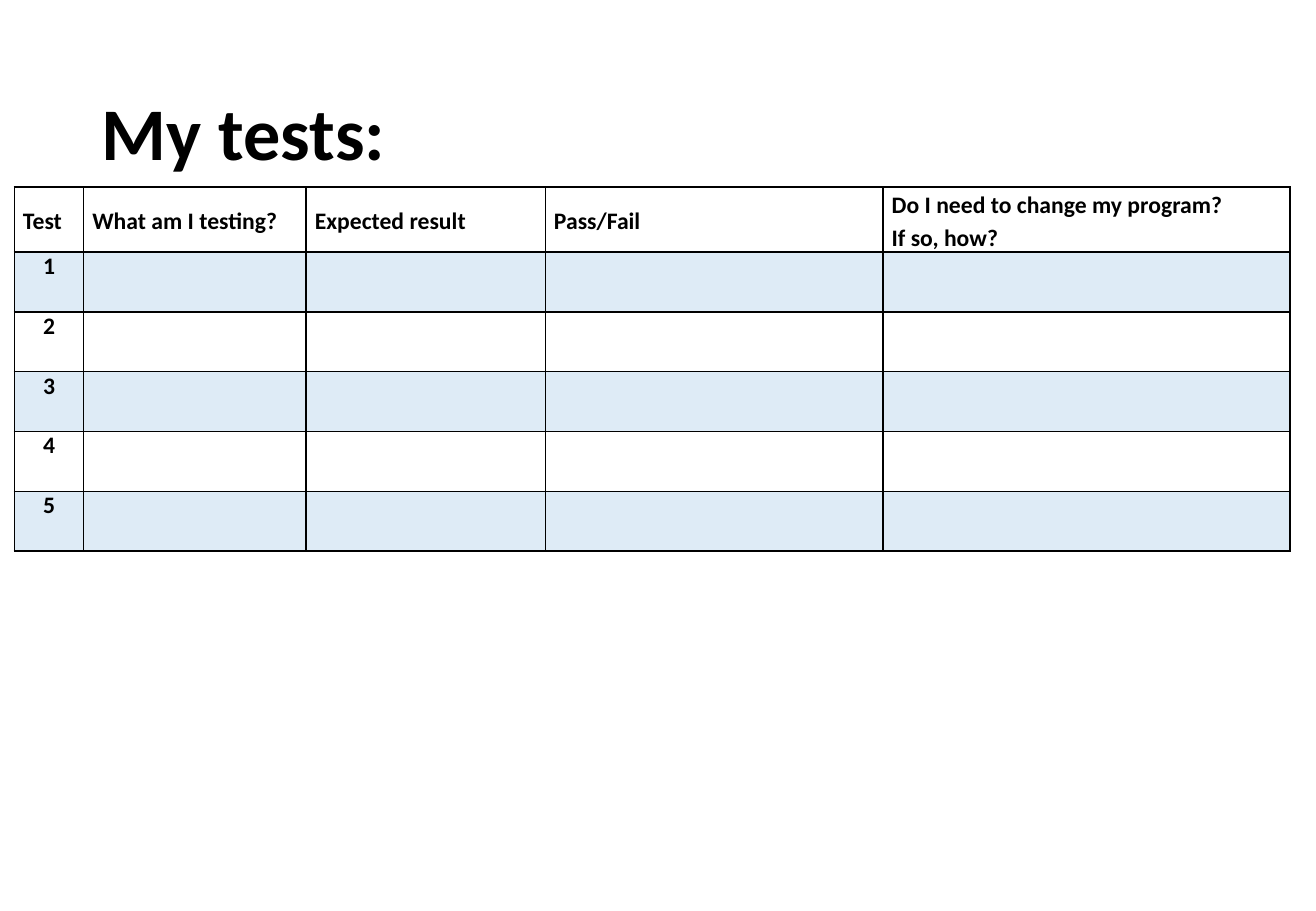
from lxml.etree import SubElement
from pptx import Presentation
from pptx.dml.color import RGBColor
from pptx.enum.text import MSO_ANCHOR, PP_ALIGN
from pptx.oxml import parse_xml
from pptx.oxml.ns import nsdecls, qn
from pptx.util import Cm, Pt

# Content
TITLE = "My tests:"
HEADINGS = [
    "Test",
    "What am I testing?",
    "Expected result",
    "Pass/Fail",
    "Do I need to change my program?\vIf so, how?",
]
TEST_COUNT = 5

# Layout in centimetres
COLUMN_WIDTHS = [1.45, 4.65, 5.0, 7.06, 8.51]
HEADER_HEIGHT, TEST_HEIGHT = 1.12, 1.25
TABLE_LEFT, TABLE_TOP = 0.3, 3.91
SIDE_MARGIN = 0.18
BLACK, BAND, BAND_ALPHA = "000000", "5B9BD5", 20


def color(hex_string):
    return RGBColor.from_string(hex_string)


def style_font(para, size):
    para.font.name = "Calibri"
    para.font.size = Pt(size)
    para.font.bold = True
    para.font.color.rgb = color(BLACK)


def add_borders(cell):
    properties = cell._tc.get_or_add_tcPr()
    for position, side in enumerate(("lnL", "lnR", "lnT", "lnB")):
        properties.insert(position, parse_xml(
            f'<a:{side} {nsdecls("a")} w="12700"><a:solidFill>'
            f'<a:srgbClr val="{BLACK}"/></a:solidFill></a:{side}>'))


def fill_cell(cell, banded):
    if not banded:
        cell.fill.background()
        return
    cell.fill.solid()
    cell.fill.fore_color.rgb = color(BAND)
    tint = cell._tc.tcPr.find(f".//{qn('a:srgbClr')}")
    SubElement(tint, qn("a:alpha"), val=str(BAND_ALPHA * 1000))


def write_cell(cell, text):
    cell.margin_left = cell.margin_right = Cm(SIDE_MARGIN)
    cell.margin_top = cell.margin_bottom = 0
    cell.text_frame.text = text
    para = cell.text_frame.paragraphs[0]
    para.space_after = Pt(6)
    style_font(para, 14)
    return para


def add_title(page):
    box = page.shapes.add_textbox(Cm(1.88), Cm(1.02), Cm(23.72), Cm(3.68))
    frame = box.text_frame
    frame.word_wrap = True
    frame.vertical_anchor = MSO_ANCHOR.MIDDLE
    frame.text = TITLE
    para = frame.paragraphs[0]
    para.line_spacing = 0.9
    style_font(para, 44)


def add_test_table(page):
    heights = [HEADER_HEIGHT] + [TEST_HEIGHT] * TEST_COUNT
    table = page.shapes.add_table(
        len(heights), len(HEADINGS), Cm(TABLE_LEFT), Cm(TABLE_TOP),
        Cm(sum(COLUMN_WIDTHS)), Cm(sum(heights))).table
    table.first_row = table.horz_banding = False
    for column, width in zip(table.columns, COLUMN_WIDTHS):
        column.width = Cm(width)
    for row, height in zip(table.rows, heights):
        row.height = Cm(height)

    # Every other row is tinted, starting with the first test
    for number, row in enumerate(table.rows):
        for cell in row.cells:
            fill_cell(cell, banded=number % 2 == 1)
            add_borders(cell)

    # Headings
    for column, heading in enumerate(HEADINGS):
        cell = table.cell(0, column)
        cell.vertical_anchor = MSO_ANCHOR.MIDDLE
        para = write_cell(cell, heading)
        para.line_spacing = 1.15
        para.space_before = Pt(6)

    # Test numbers
    for number in range(1, TEST_COUNT + 1):
        para = write_cell(table.cell(number, 0), str(number))
        para.alignment = PP_ALIGN.CENTER


def main():
    deck = Presentation()
    deck.slide_width, deck.slide_height = Cm(27.51), Cm(19.05)
    page = deck.slides.add_slide(deck.slide_layouts[6])
    add_title(page)
    add_test_table(page)
    deck.save("out.pptx")


if __name__ == "__main__":
    main()
